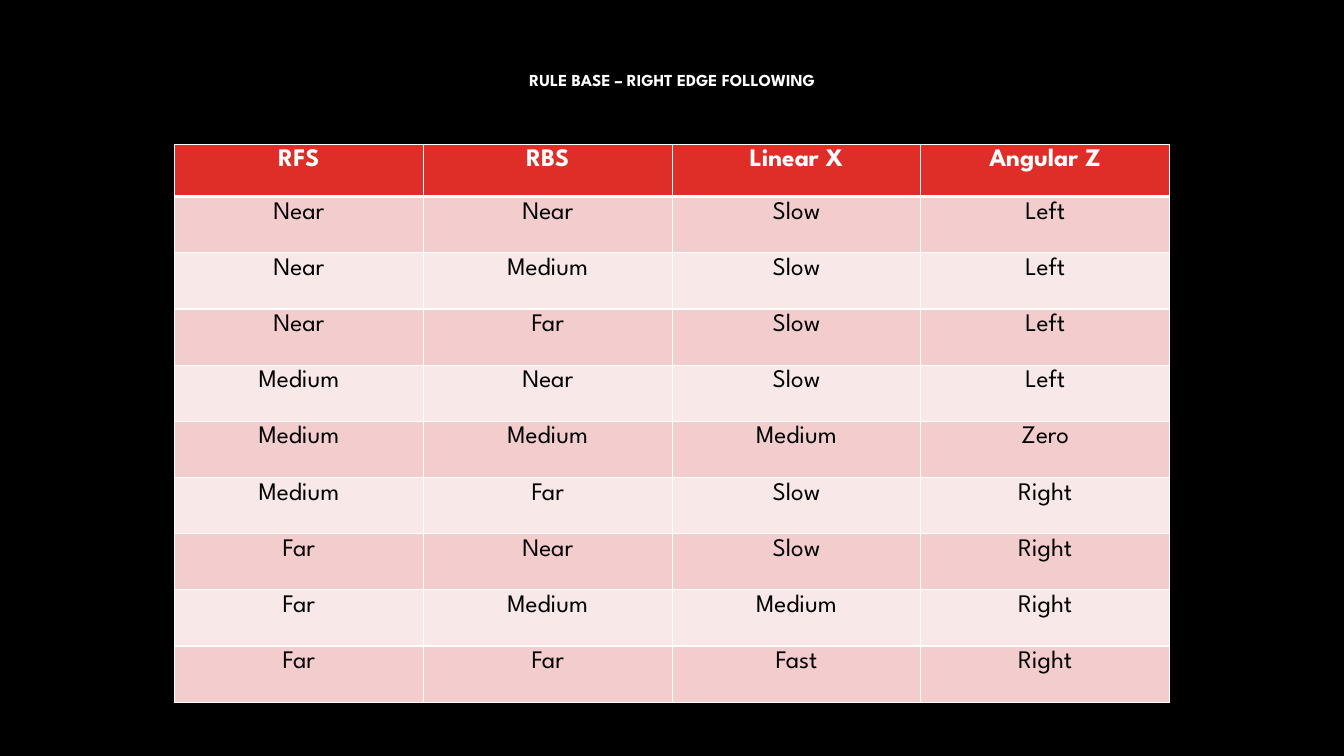
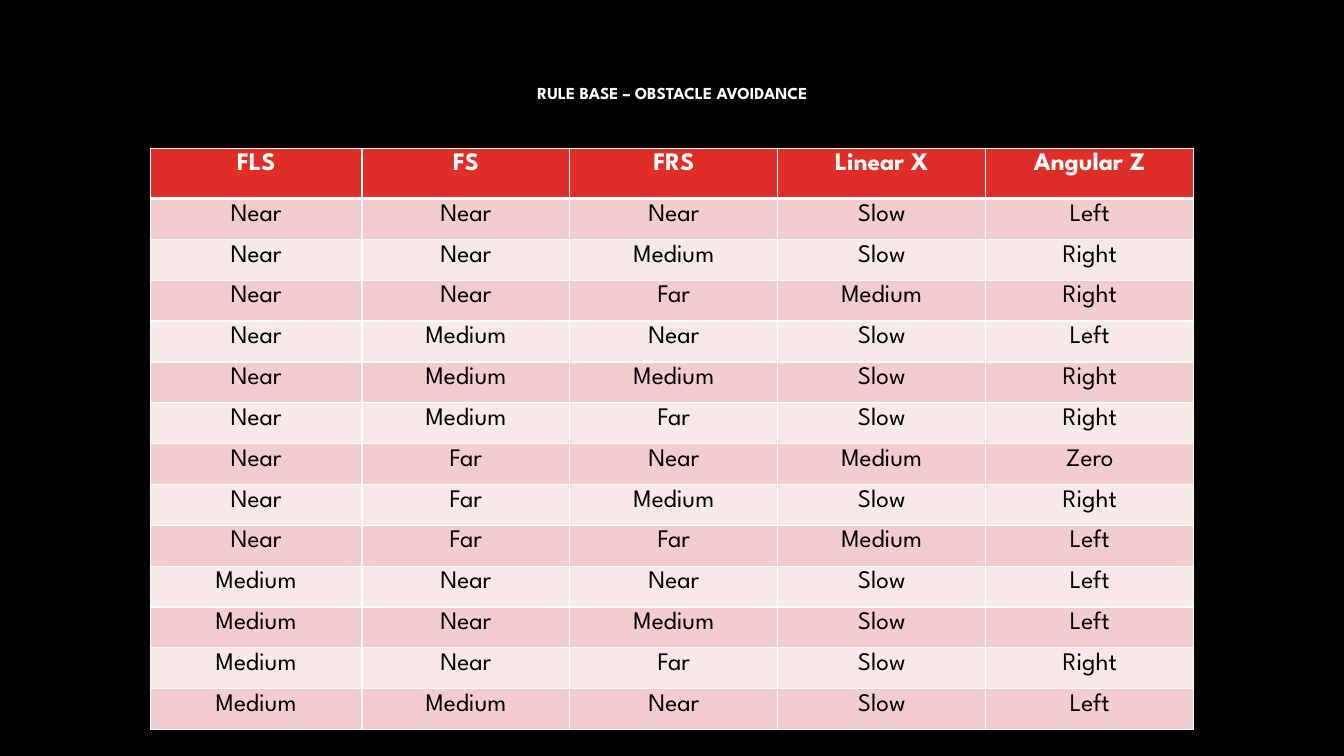
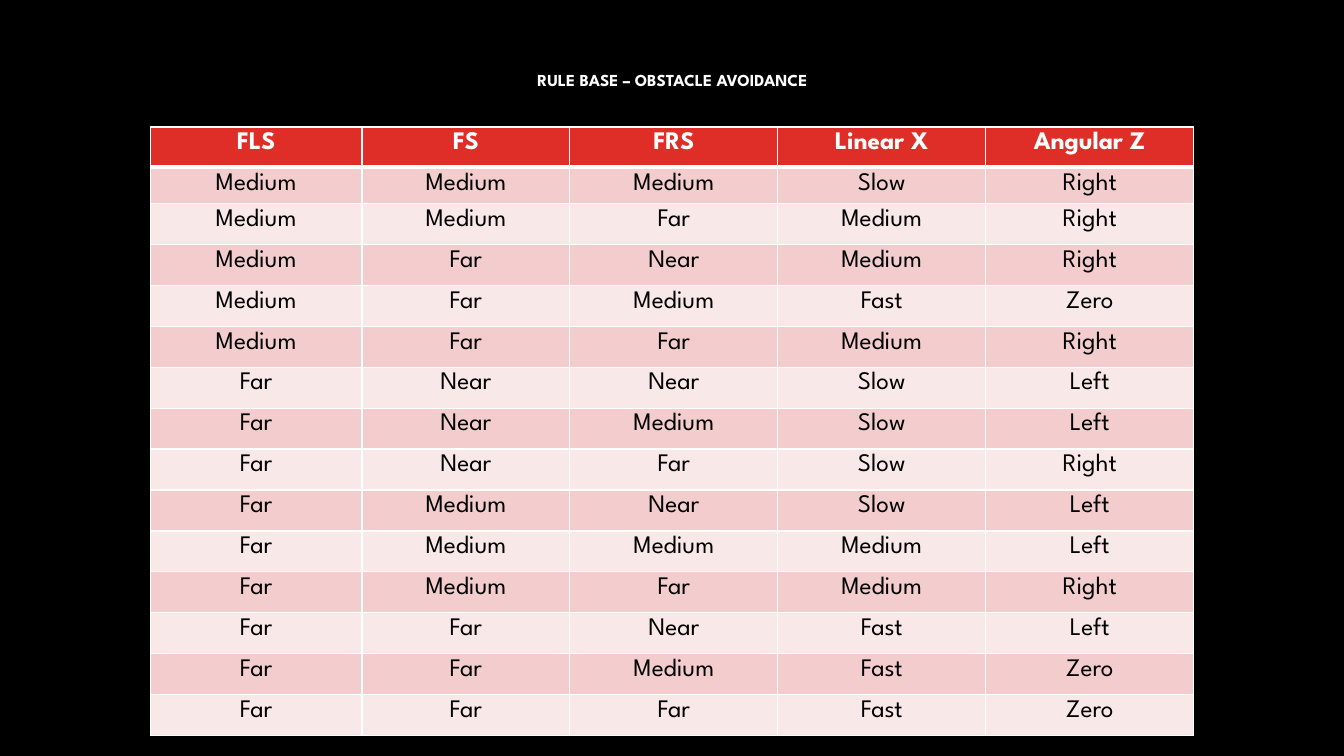
from itertools import product

from lxml import etree
from pptx import Presentation
from pptx.dml.color import RGBColor
from pptx.enum import text
from pptx.oxml import ns
from pptx.util import Inches, Pt

FONT = "League Spartan"
BLACK = RGBColor(0x00, 0x00, 0x00)
WHITE = RGBColor(0xFF, 0xFF, 0xFF)
RED = RGBColor(0xDF, 0x2E, 0x28)
BANDS = RGBColor(0xF3, 0xCD, 0xCD), RGBColor(0xF9, 0xE8, 0xE8)

LEVELS = "Near", "Medium", "Far"
OUTPUTS = ["Linear X", "Angular Z"]

# Linear X and Angular Z for each combination of sensor levels
EDGE_ACTIONS = """
Slow Left, Slow Left, Slow Left,
Slow Left, Medium Zero, Slow Right,
Slow Right, Medium Right, Fast Right"""
OBSTACLE_ACTIONS = """
Slow Left, Slow Right, Medium Right,
Slow Left, Slow Right, Slow Right,
Medium Zero, Slow Right, Medium Left,
Slow Left, Slow Left, Slow Right,
Slow Left, Slow Right, Medium Right,
Medium Right, Fast Zero, Medium Right,
Slow Left, Slow Left, Slow Right,
Slow Left, Medium Left, Medium Right,
Fast Left, Fast Zero, Fast Zero"""


def rules(sensors, actions):
    """Pair every combination of sensor levels with its action."""
    levels = product(LEVELS, repeat=sensors)
    return [[*row, *action.split()]
            for row, action in zip(levels, actions.split(","))]


class Deck:
    def __init__(self):
        self.prs = Presentation()
        self.prs.slide_width, self.prs.slide_height = Inches(13.33), Inches(7.5)
        fill = self.prs.slide_master.background.fill
        fill.solid()
        fill.fore_color.rgb = BLACK
        self.s = None

    def slide(self):
        self.s = self.prs.slides.add_slide(self.prs.slide_layouts[5])

    def add_text(self, p, words, size, color, bold):
        p.alignment = text.PP_ALIGN.CENTER
        r = p.add_run()
        r.text = words
        f = r.font
        f.name, f.size, f.bold = FONT, Pt(size), bold
        f.color.rgb = color

    def title(self, words, top):
        sp = self.s.shapes.title
        sp.left, sp.top = Inches(4.79), Inches(top)
        sp.width, sp.height = Inches(3.76), Inches(0.3)
        tf = sp.text_frame
        tf.word_wrap = True
        tf.auto_size = text.MSO_AUTO_SIZE.NONE
        tf.vertical_anchor = text.MSO_ANCHOR.BOTTOM
        self.add_text(tf.paragraphs[0], words, 12, WHITE, True)

    def borders(self, cell, top, bottom):
        tcPr = cell._tc.get_or_add_tcPr()
        for side, width in zip("LRTB", (1, 1, top, bottom)):
            ln = etree.SubElement(tcPr, ns.qn(f"a:ln{side}"), w=str(Pt(width)))
            fill = etree.SubElement(ln, ns.qn("a:solidFill"))
            etree.SubElement(fill, ns.qn("a:srgbClr"), val=str(WHITE))

    def table(self, box, first_col, first_rows, rows):
        """Columns and rows after the first ones share the rest equally."""
        left, top, width, height = box
        n_rows, n_cols = len(rows), len(rows[0])
        t = self.s.shapes.add_table(n_rows, n_cols, *map(Inches, box)).table
        other_col = (width - first_col) / (n_cols - 1)
        for i, col in enumerate(t.columns):
            col.width = Inches(other_col if i else first_col)
        k = len(first_rows)
        other_row = (height - sum(first_rows)) / (n_rows - k)
        for i, row in enumerate(t.rows):
            row.height = Inches(first_rows[i] if i < k else other_row)

        for i, row in enumerate(rows):
            head = i == 0
            for j, words in enumerate(row):
                cell = t.cell(i, j)
                self.borders(cell, 3 if i == 1 else 1, 3 if head else 1)
                cell.fill.solid()
                cell.fill.fore_color.rgb = RED if head else BANDS[(i - 1) % 2]
                self.add_text(cell.text_frame.paragraphs[0], words, 18,
                              WHITE if head else BLACK, head)


def main():
    deck = Deck()

    # Right edge following
    deck.slide()
    deck.title("RULE BASE – RIGHT EDGE FOLLOWING", 0.64)
    deck.table((1.73, 1.43, 9.87, 5.54), 2.47, [0.52],
               [["RFS", "RBS"] + OUTPUTS] + rules(2, EDGE_ACTIONS))

    # Obstacle avoidance, split over two slides
    header = ["FLS", "FS", "FRS"] + OUTPUTS
    obstacle = rules(3, OBSTACLE_ACTIONS)
    for title_top, top, height, first_rows, part in (
            (0.77, 1.47, 5.77, [0.5], obstacle[:13]),
            (0.64, 1.26, 6.04, [0.4, 0.36], obstacle[13:])):
        deck.slide()
        deck.title("RULE BASE – OBSTACLE AVOIDANCE", title_top)
        deck.table((1.49, top, 10.35, height), 2.1, first_rows,
                   [header] + part)

    deck.prs.save("out.pptx")


if __name__ == "__main__":
    main()
